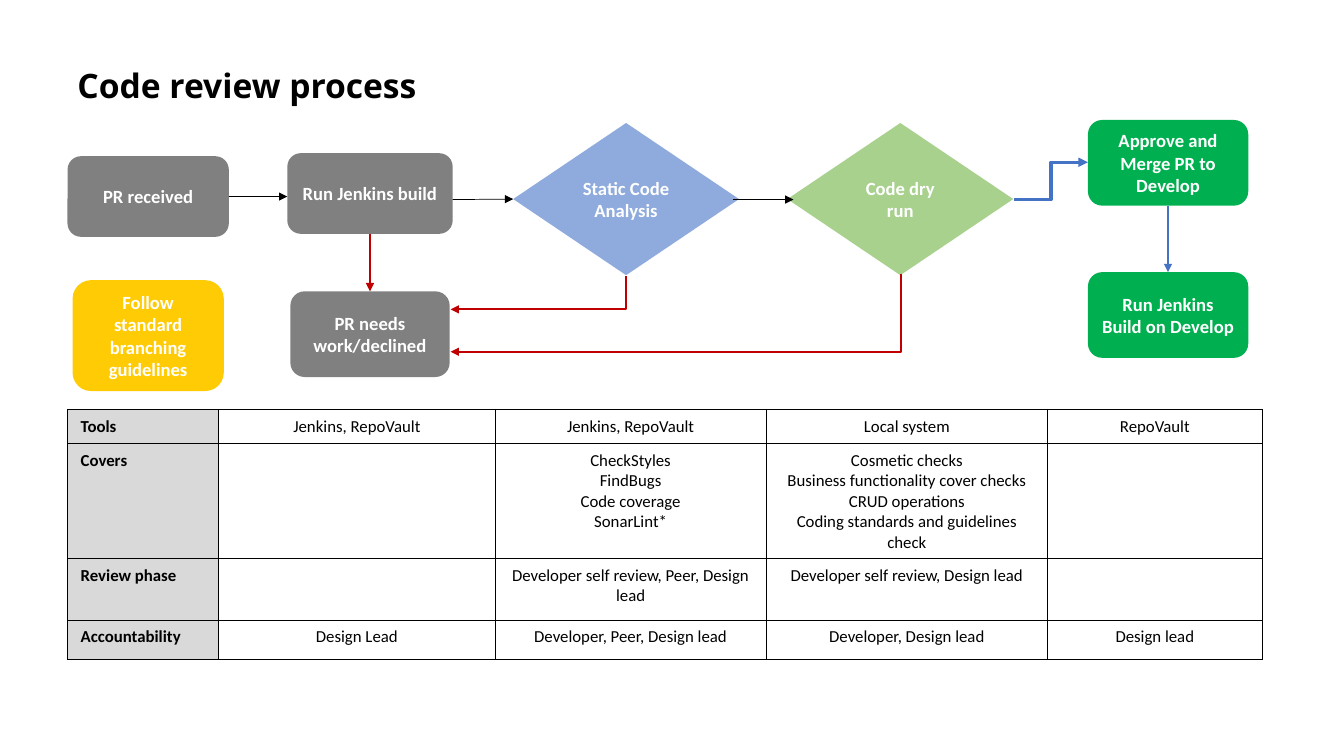
from lxml import etree
from pptx import Presentation
from pptx.dml.color import RGBColor
from pptx.enum.shapes import MSO_CONNECTOR, MSO_SHAPE
from pptx.enum.text import MSO_ANCHOR, PP_ALIGN
from pptx.oxml.ns import qn
from pptx.util import Inches, Pt

BLACK = RGBColor(0, 0, 0)
WHITE = RGBColor(255, 255, 255)
GRAY = RGBColor(0x80, 0x80, 0x80)
PALE = RGBColor(0xD9, 0xD9, 0xD9)
SKY = RGBColor(0x8F, 0xAA, 0xDC)
LIME = RGBColor(0xA9, 0xD1, 0x8E)
GREEN = RGBColor(0, 0xB0, 0x50)
GOLD = RGBColor(0xFF, 0xCB, 0x05)
RED = RGBColor(0xC0, 0, 0)
BLUE = RGBColor(0x44, 0x72, 0xC4)
ROUND = MSO_SHAPE.ROUNDED_RECTANGLE
DIAMOND = MSO_SHAPE.DIAMOND
LINE = MSO_CONNECTOR.STRAIGHT
ELBOW = MSO_CONNECTOR.ELBOW
LEFT = PP_ALIGN.LEFT
CENTER = PP_ALIGN.CENTER
MIDDLE = MSO_ANCHOR.MIDDLE
TOP, WEST, BOTTOM, EAST = range(4)
STEP = 0.1


def grid(*cells):
    """Turn grid columns or rows into lengths."""
    return [Inches(n * STEP) for n in cells]


class Board:
    """Draws styled elements on one slide, placed by grid columns and rows."""

    def __init__(self, deck, face):
        self.slide = deck.slides.add_slide(deck.slide_layouts[6])
        self.face = face

    def label(self, frame, text, size, color, bold, align, face=None):
        frame.text = text
        frame.word_wrap = True
        for para in frame.paragraphs:
            para.alignment = align
            font = para.font
            font.name, font.size, font.bold = face or self.face, Pt(size), bold
            font.color.rgb = color

    def title(self, text, place, face):
        box = self.slide.shapes.add_textbox(*grid(*place))
        self.label(box.text_frame, text, 24, BLACK, True, LEFT, face)

    def node(self, kind, text, fill, place):
        node = self.slide.shapes.add_shape(kind, *grid(*place))
        node.shadow.inherit = False
        node.fill.solid()
        node.fill.fore_color.rgb = fill
        node.line.fill.background()
        node.text_frame.vertical_anchor = MIDDLE
        self.label(node.text_frame, text, 13.3, WHITE, True, CENTER)
        return node

    def arrow(self, kind, ends, color, width, start=None, stop=None, tip="tailEnd"):
        link = self.slide.shapes.add_connector(kind, *grid(*ends))
        if start:
            link.begin_connect(*start)
        if stop:
            link.end_connect(*stop)
        link.line.color.rgb = color
        link.line.width = Pt(width)
        props = link._element.spPr
        etree.SubElement(props.find(qn("a:ln")), qn("a:" + tip), type="triangle")
        etree.SubElement(props, qn("a:effectLst"))
        return link

    def corner(self, ends, color, width):
        link = self.arrow(ELBOW, ends, color, width, tip="headEnd")
        link._element.spPr.find(qn("a:prstGeom")).set("prst", "bentConnector2")

    def border(self, cell):
        props = cell._tc.get_or_add_tcPr()
        for side in ("lnL", "lnR", "lnT", "lnB"):
            edge = etree.SubElement(props, qn("a:" + side), w=str(Pt(0.5)))
            fill = etree.SubElement(edge, qn("a:solidFill"))
            etree.SubElement(fill, qn("a:srgbClr"), val=str(BLACK))

    def table(self, data, place, cols, rows):
        shape = self.slide.shapes.add_table(len(rows), len(cols), *grid(*place))
        table = shape.table
        table.first_row = table.horz_banding = False
        for col, width in zip(table.columns, grid(*cols)):
            col.width = width
        for row, height, texts in zip(table.rows, grid(*rows), data):
            row.height = height
            for spot, (cell, text) in enumerate(zip(row.cells, texts)):
                head = spot == 0
                cell.margin_left = cell.margin_right = Inches(0.13)
                cell.margin_top = cell.margin_bottom = Inches(0.07)
                self.label(cell.text_frame, text, 12, BLACK, head, LEFT if head else CENTER)
                self.border(cell)
                if head:
                    cell.fill.solid()
                    cell.fill.fore_color.rgb = PALE
                else:
                    cell.fill.background()


def main():
    """Build the code review slide."""
    deck = Presentation()
    deck.slide_width, deck.slide_height = Inches(13.33), Inches(7.5)
    board = Board(deck, "Calibri")
    board.title("Code review process", (6.7, 5.9, 60, 5), "Open Sans")

    checks = "CheckStyles\nFindBugs\nCode coverage\nSonarLint*"
    trial = ("Cosmetic checks\nBusiness functionality cover checks\n"
             "CRUD operations\nCoding standards and guidelines check")
    data = [
        ("Tools", "Jenkins, RepoVault", "Jenkins, RepoVault", "Local system", "RepoVault"),
        ("Covers", "", checks, trial, ""),
        ("Review phase", "", "Developer self review, Peer, Design lead",
         "Developer self review, Design lead", ""),
        ("Accountability", "Design Lead", "Developer, Peer, Design lead",
         "Developer, Design lead", "Design lead"),
    ]
    board.table(data, (6.7, 40.6, 118.5, 22), (15, 27.4, 26.9, 27.9, 21.3), (3, 9, 6.1, 3.9))

    pull = board.node(ROUND, "PR received", GRAY, (6.7, 15.5, 16, 8))
    build = board.node(ROUND, "Run Jenkins build", GRAY, (28.5, 15.2, 16.4, 8))
    scan = board.node(DIAMOND, "Static Code Analysis", SKY, (50.9, 12.2, 22.4, 15.1))
    board.node(DIAMOND, "Code dry run", LIME, (78.1, 12.2, 22.4, 15.1))
    reject = board.node(ROUND, "PR needs work/declined", GRAY, (28.8, 28.9, 15.8, 8.5))
    merge = board.node(ROUND, "Approve and Merge PR to Develop", GREEN, (107.9, 11.9, 15.9, 8.5))
    final = board.node(ROUND, "Run Jenkins Build on Develop", GREEN, (107.9, 27, 15.9, 8.5))
    board.node(ROUND, "Follow standard branching guidelines", GOLD, (7.2, 27.8, 15, 11))

    board.arrow(LINE, (22.7, 19.5, 28.5, 19.5), BLACK, 0.5, start=(pull, EAST))
    board.arrow(LINE, (44.9, 19.8, 50.9, 19.8), BLACK, 0.5, stop=(scan, WEST))
    board.arrow(LINE, (72.7, 19.8, 78.7, 19.8), BLACK, 0.5)
    board.arrow(LINE, (36.7, 23.2, 36.7, 28.9), RED, 1.5, (build, BOTTOM), (reject, TOP))
    board.arrow(LINE, (115.8, 20.4, 115.8, 27), BLUE, 1, (merge, BOTTOM), (final, TOP))
    board.arrow(ELBOW, (100.6, 19.8, 107.9, 16.1), BLUE, 2.25)
    board.corner((44.7, 30.7, 62.1, 27.4), RED, 1.5)
    board.corner((44.7, 34.9, 89.4, 27.2), RED, 1.5)
    deck.save("out.pptx")


if __name__ == "__main__":
    main()
